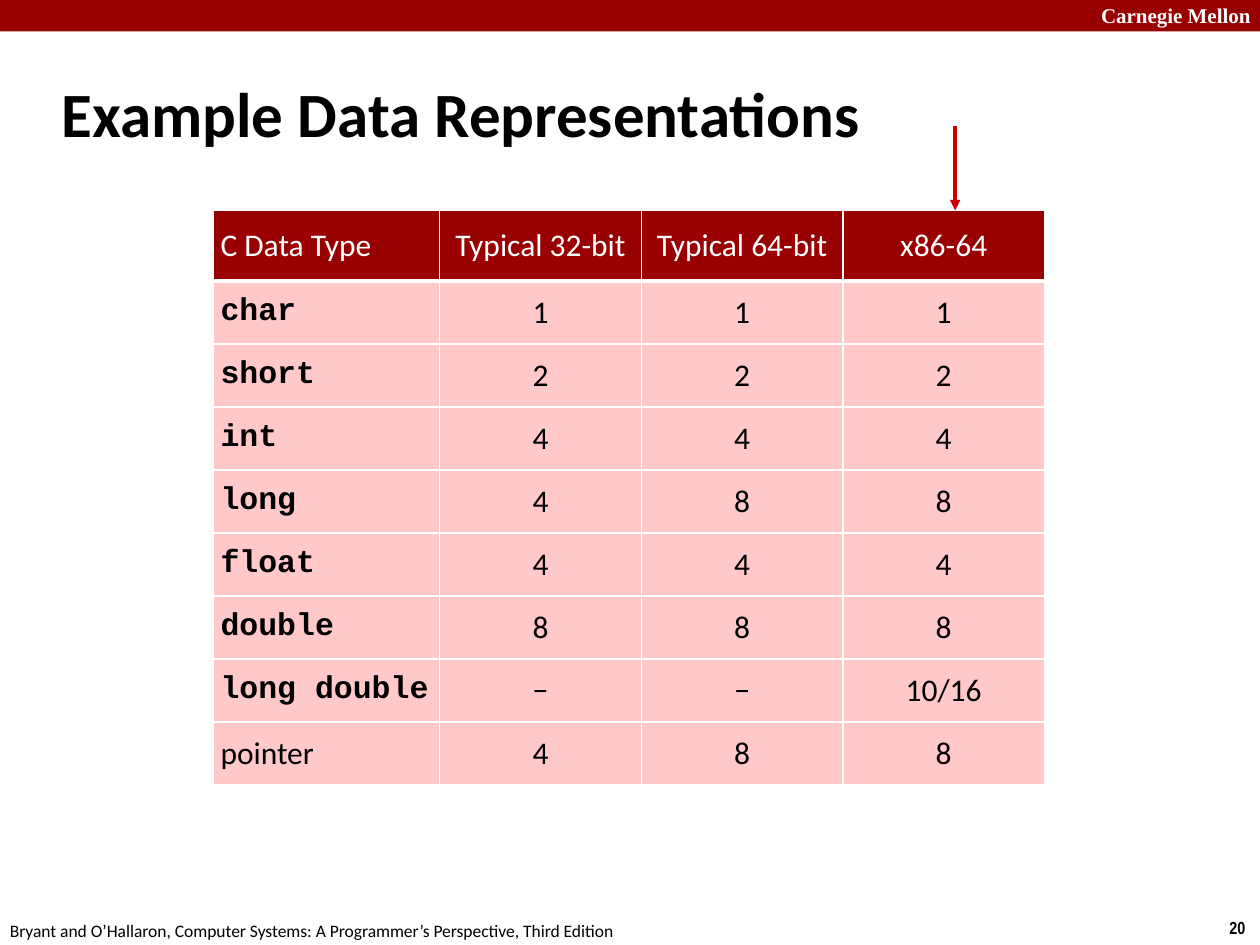
from dataclasses import dataclass

from lxml import etree
from pptx import Presentation
from pptx.dml.color import RGBColor
from pptx.enum import shapes, text
from pptx.oxml import ns
from pptx.util import Inches, Pt


@dataclass(frozen=True)
class Theme:
    """Colours, fonts and type sizes of the slide."""
    band: str = "990000"
    header: str = "980002"
    body: str = "FFC8C9"
    arrow: str = "CC0000"
    ink: str = "000000"
    paper: str = "FFFFFF"
    sans: str = "Calibri"
    code: str = "Courier New"
    serif: str = "Times New Roman"
    narrow: str = "Arial Narrow"
    title_size: int = 36
    table_size: int = 18
    band_size: int = 12
    footer_size: int = 10


THEME = Theme()
TYPE_SIZES = [
    ("C Data Type", "Typical 32-bit", "Typical 64-bit", "x86-64"),
    ("char", "1", "1", "1"),
    ("short", "2", "2", "2"),
    ("int", "4", "4", "4"),
    ("long", "4", "8", "8"),
    ("float", "4", "4", "4"),
    ("double", "8", "8", "8"),
    ("long double", "−", "−", "10/16"),
    ("pointer", "4", "8", "8"),
]


def rgb(value):
    """Turn a hex string into a colour."""
    return RGBColor.from_string(value)


def apply(target, values):
    """Set each named attribute on the target."""
    for name, value in values.items():
        setattr(target, name, value)


def write(paragraph, words, face, size, colour, bold=False):
    """Put formatted words in a paragraph."""
    run = paragraph.add_run()
    run.text = words
    apply(run.font, {"name": face, "size": Pt(size), "bold": bold})
    run.font.color.rgb = rgb(colour)


def add_label(slide, box, words, wrap, **style):
    """Place a one-line text box."""
    frame = slide.shapes.add_textbox(*map(Inches, box)).text_frame
    frame.word_wrap = wrap
    write(frame.paragraphs[0], words, **style)


def add_band(slide, box):
    """Place the top band with the university name."""
    left, top, width, _ = box
    band = slide.shapes.add_shape(
        shapes.MSO_SHAPE.RECTANGLE, *map(Inches, box))
    band.shadow.inherit = False
    band.fill.solid()
    band.fill.fore_color.rgb = rgb(THEME.band)
    band.line.fill.background()
    add_label(slide, (left + width - 1.36, top - 0.03, 1.43, 0.3),
              "Carnegie Mellon", True, face=THEME.serif,
              size=THEME.band_size, colour=THEME.paper, bold=True)


def add_footer(slide, box):
    """Place the page number and the book reference."""
    left, top, width, height = box
    style = {"size": THEME.footer_size, "colour": THEME.ink}
    add_label(slide, (left + width - 0.34, top - 0.02, 0.34, height), "20",
              False, face=THEME.narrow, bold=True, **style)
    add_label(slide, (left - 0.02, top, 5.08, height),
              "Bryant and O’Hallaron, Computer Systems: "
              "A Programmer’s Perspective, Third Edition",
              False, face=THEME.sans, **style)


def add_title(slide, box):
    """Move and format the title placeholder."""
    title = slide.shapes.title
    apply(title, dict(zip(("left", "top", "width", "height"),
                          map(Inches, box))))
    frame = title.text_frame
    apply(frame, {"word_wrap": True, "auto_size": text.MSO_AUTO_SIZE.NONE,
                  "vertical_anchor": text.MSO_ANCHOR.MIDDLE})
    heading = frame.paragraphs[0]
    heading.alignment = text.PP_ALIGN.LEFT
    indent = Inches(0.13)
    properties = heading._p.get_or_add_pPr()
    properties.set("marL", str(indent))
    properties.set("indent", str(-indent))
    write(heading, "Example Data Representations", THEME.sans,
          THEME.title_size, THEME.ink, True)


def add_borders(cell, widths):
    """Draw the cell borders, given widths in points by side."""
    properties = cell._tc.get_or_add_tcPr()
    for side, width in widths.items():
        border = etree.SubElement(properties, ns.qn(f"a:ln{side}"),
                                  w=str(Pt(width)))
        fill = etree.SubElement(border, ns.qn("a:solidFill"))
        etree.SubElement(fill, ns.qn("a:srgbClr"), val=THEME.paper)


def format_cell(cell, words, row, column):
    """Fill one table cell according to its row and column."""
    is_header = row == 0
    is_code = column == 0 and words not in ("C Data Type", "pointer")
    add_borders(cell, {"L": 1, "R": 1, "T": 3 if row == 1 else 1,
                       "B": 3 if is_header else 1})
    cell.fill.solid()
    cell.fill.fore_color.rgb = rgb(THEME.header if is_header else THEME.body)
    margins = ("margin_left", "margin_top", "margin_right", "margin_bottom")
    apply(cell, dict.fromkeys(margins, Inches(0.06)))
    cell.vertical_anchor = text.MSO_ANCHOR.MIDDLE
    entry = cell.text_frame.paragraphs[0]
    entry.alignment = text.PP_ALIGN.CENTER if column else text.PP_ALIGN.LEFT
    write(entry, words, THEME.code if is_code else THEME.sans,
          THEME.table_size, THEME.paper if is_header else THEME.ink, is_code)


def add_type_table(slide, box):
    """Place the table of data type sizes."""
    _, _, width, height = box
    sizes = slide.shapes.add_table(len(TYPE_SIZES), len(TYPE_SIZES[0]),
                                   *map(Inches, box)).table
    apply(sizes, {"first_row": False, "horz_banding": False})
    number_width, row_height = 1.6, 0.5
    for index, column in enumerate(sizes.columns):
        column.width = Inches(number_width if index
                              else width - 3 * number_width)
    for index, row in enumerate(sizes.rows):
        row.height = Inches(row_height if index
                            else height - 8 * row_height)
    for row, entries in enumerate(TYPE_SIZES):
        for column, words in enumerate(entries):
            format_cell(sizes.cell(row, column), words, row, column)


def add_arrow(slide, box):
    """Point down at the last column, along the left side of the box."""
    left, top, _, height = box
    arrow = slide.shapes.add_connector(
        shapes.MSO_CONNECTOR.STRAIGHT,
        *map(Inches, (left, top, left, top + height)))
    arrow.line.color.rgb = rgb(THEME.arrow)
    arrow.line.width = Pt(2)
    etree.SubElement(arrow.line._get_or_add_ln(), ns.qn("a:tailEnd"),
                     type="triangle")
    etree.SubElement(arrow._element.spPr, ns.qn("a:effectLst"))


def main():
    """Build and save the slide."""
    deck = Presentation()
    apply(deck, {"slide_width": Inches(10), "slide_height": Inches(7.5)})
    slide = deck.slides.add_slide(deck.slide_layouts[5])
    add_band(slide, (0, 0, 10, 0.25))
    add_footer(slide, (0, 7.25, 10, 0.27))
    add_title(slide, (0.39, 0.48, 8.3, 0.83))
    add_type_table(slide, (1.69, 1.67, 6.6, 4.56))
    add_arrow(slide, (7.58, 1, 0, 0.67))
    deck.save("out.pptx")


if __name__ == "__main__":
    main()
